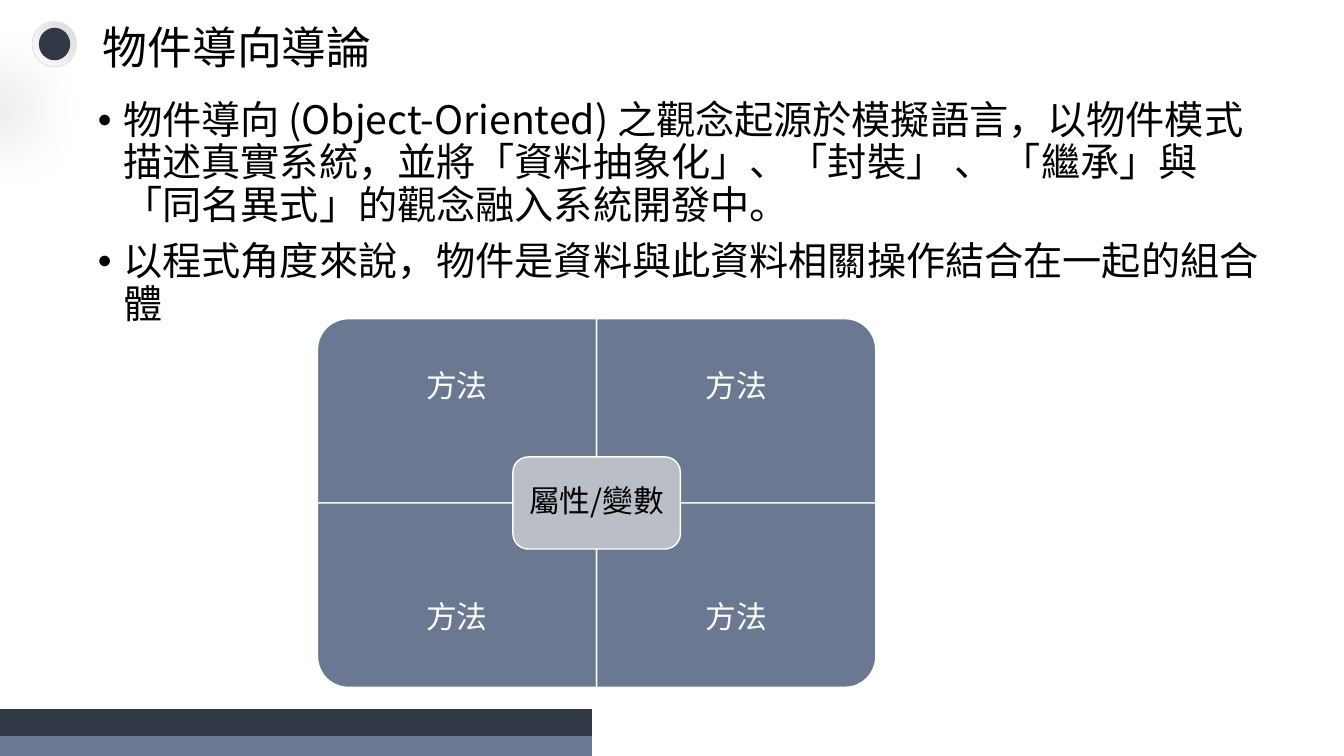
from lxml import etree
from pptx import Presentation
from pptx.dml.color import RGBColor
from pptx.enum.shapes import MSO_SHAPE
from pptx.enum.text import MSO_ANCHOR, PP_ALIGN
from pptx.oxml.ns import qn
from pptx.util import Cm, Pt

OVAL, RECTANGLE = MSO_SHAPE.OVAL, MSO_SHAPE.RECTANGLE
QUADRANT, ROUNDED = MSO_SHAPE.ROUND_1_RECTANGLE, MSO_SHAPE.ROUNDED_RECTANGLE
TOP, MIDDLE = MSO_ANCHOR.TOP, MSO_ANCHOR.MIDDLE
LEFT, CENTER = PP_ALIGN.LEFT, PP_ALIGN.CENTER

FONT = "Noto Sans CJK SC"
COLORS = {"navy": "313846", "slate": "6A7991", "mist": "B9BEC7", "white": "FFFFFF",
          "near_white": "FEFEFE", "silver": "D9D9D9", "black": "000000"}

TITLE = "物件導向導論"
POINTS = [
    "物件導向 (Object-Oriented) 之觀念起源於模擬語言，以物件模式描述真實系統，"
    "並將「資料抽象化」、「封裝」 、 「繼承」與「同名異式」的觀念融入系統開發中。",
    "以程式角度來說，物件是資料與此資料相關操作結合在一起的組合體",
]
METHOD, ATTRIBUTE = "方法", "屬性/變數"


def color(name):
    return RGBColor.from_string(COLORS[name])


def add_child(parent, tag, **attributes):
    return etree.SubElement(parent, qn(tag), **attributes)


def add_text(slide, box, texts, size, ink="black", align=LEFT, anchor=MIDDLE,
             margins=(0.25, 0.13), bullet=False):
    frame = slide.shapes.add_textbox(*map(Cm, box)).text_frame
    frame.word_wrap = True
    frame.vertical_anchor = anchor
    frame.margin_left = frame.margin_right = Cm(margins[0])
    frame.margin_top = frame.margin_bottom = Cm(margins[1])
    for index, text in enumerate(texts):
        paragraph = frame.add_paragraph() if index else frame.paragraphs[0]
        paragraph.alignment = align
        paragraph.line_spacing = 0.9
        if bullet:
            paragraph.space_before = Pt(10)
            properties = paragraph._p.get_or_add_pPr()
            properties.set("marL", str(Cm(0.64)))
            properties.set("indent", str(-Cm(0.64)))
            add_child(properties, "a:buFont", typeface="Arial")
            add_child(properties, "a:buChar", char="•")
        run = paragraph.add_run()
        run.text = text
        run.font.size = Pt(size)
        run.font.name = FONT
        run.font.color.rgb = color(ink)
        add_child(run._r.get_or_add_rPr(), "a:ea", typeface=FONT)


def add_block(slide, kind, box, fill=None, line=None, rotation=0):
    shape = slide.shapes.add_shape(kind, *map(Cm, box))
    shape.shadow.inherit = False
    shape.rotation = rotation
    if fill:
        shape.fill.solid()
        shape.fill.fore_color.rgb = color(fill)
    if line:
        shape.line.color.rgb = color(line)
        shape.line.width = Pt(1)
    else:
        shape.line.fill.background()
    return shape


def set_gradient(shape, stops, radial=False):
    shape.fill.gradient()
    shape.fill.gradient_angle = 270
    for stop, (position, name) in zip(shape.fill.gradient_stops, stops):
        stop.position = position
        stop.color.rgb = color(name)
    if radial:
        gradient = shape._element.spPr.find(qn("a:gradFill"))
        gradient.remove(gradient.find(qn("a:lin")))
        circle = add_child(gradient, "a:path", path="circle")
        add_child(circle, "a:fillToRect", l="100000", b="100000")


def add_soft_shadow(shape):
    effects = shape._element.spPr.find(qn("a:effectLst"))
    shadow = add_child(effects, "a:outerShdw", blurRad=str(Pt(50)), dist=str(Pt(60)),
                       dir=str(130 * 60000), algn="tr", rotWithShape="0")
    ink = add_child(shadow, "a:srgbClr", val=COLORS["black"])
    add_child(ink, "a:alpha", val="25000")


def add_badge(slide, left, top, width, height):
    # Raised ring
    ring = add_block(slide, OVAL, (left, top, width, height))
    set_gradient(ring, [(0, "white"), (1, "silver")], radial=True)
    add_soft_shadow(ring)
    inset = 0.02
    face = add_block(slide, OVAL, (left + inset, top + inset,
                                   width - 2 * inset, height - 2 * inset))
    set_gradient(face, [(0, "silver"), (1, "near_white")], radial=True)
    # Dark centre
    inset = 0.17
    add_block(slide, OVAL, (left + inset, top + inset,
                            width - 2 * inset, height - 2 * inset), fill="navy")


def add_footer_band(slide, left, top, width, height):
    band = add_block(slide, RECTANGLE, (left, top, width, height))
    set_gradient(band, [(0.58, "navy"), (0.58, "slate")])


def add_object_diagram(slide, left, top, width, height):
    half_width, half_height = width / 2, height / 2
    label_height = half_height * 0.75
    # Four methods, each with its rounded corner facing outwards
    for index, rotation in enumerate((270, 0, 180, 90)):
        row, column = divmod(index, 2)
        center_x = left + (column + 0.5) * half_width
        center_y = top + (row + 0.5) * half_height
        across, down = half_width, half_height
        if rotation % 180:
            across, down = down, across
        add_block(slide, QUADRANT, (center_x - across / 2, center_y - down / 2, across, down),
                  fill="slate", line="white", rotation=rotation)
        label_top = top + row * (height - label_height)
        add_text(slide, (left + column * half_width, label_top, half_width, label_height),
                 [METHOD], 22, ink="white", align=CENTER, margins=(0.43, 0.43))
    # Attributes in the middle
    core_width, core_height = half_width * 0.6, half_height / 2
    core_left = left + (width - core_width) / 2
    core_top = top + (height - core_height) / 2
    add_block(slide, ROUNDED, (core_left, core_top, core_width, core_height),
              fill="mist", line="white")
    inset = 0.11
    add_text(slide, (core_left + inset, core_top + inset,
                     core_width - 2 * inset, core_height - 2 * inset),
             [ATTRIBUTE], 22, align=CENTER, margins=(0.23, 0.23))


def main():
    presentation = Presentation()
    presentation.slide_width, presentation.slide_height = Cm(33.87), Cm(19.05)
    slide = presentation.slides.add_slide(presentation.slide_layouts[6])
    add_badge(slide, 0.81, 0.53, 1.13, 1.16)
    add_footer_band(slide, 0, 17.86, 14.93, 1.19)
    add_text(slide, (2.34, 0.48, 29.72, 1.57), [TITLE], 32)
    add_text(slide, (2.34, 2.41, 29.72, 14.02), POINTS, 28, anchor=TOP,
             margins=(0.13, 0.13), bullet=True)
    add_object_diagram(slide, 8, 8.03, 14.07, 9.29)
    presentation.save("out.pptx")


if __name__ == "__main__":
    main()
